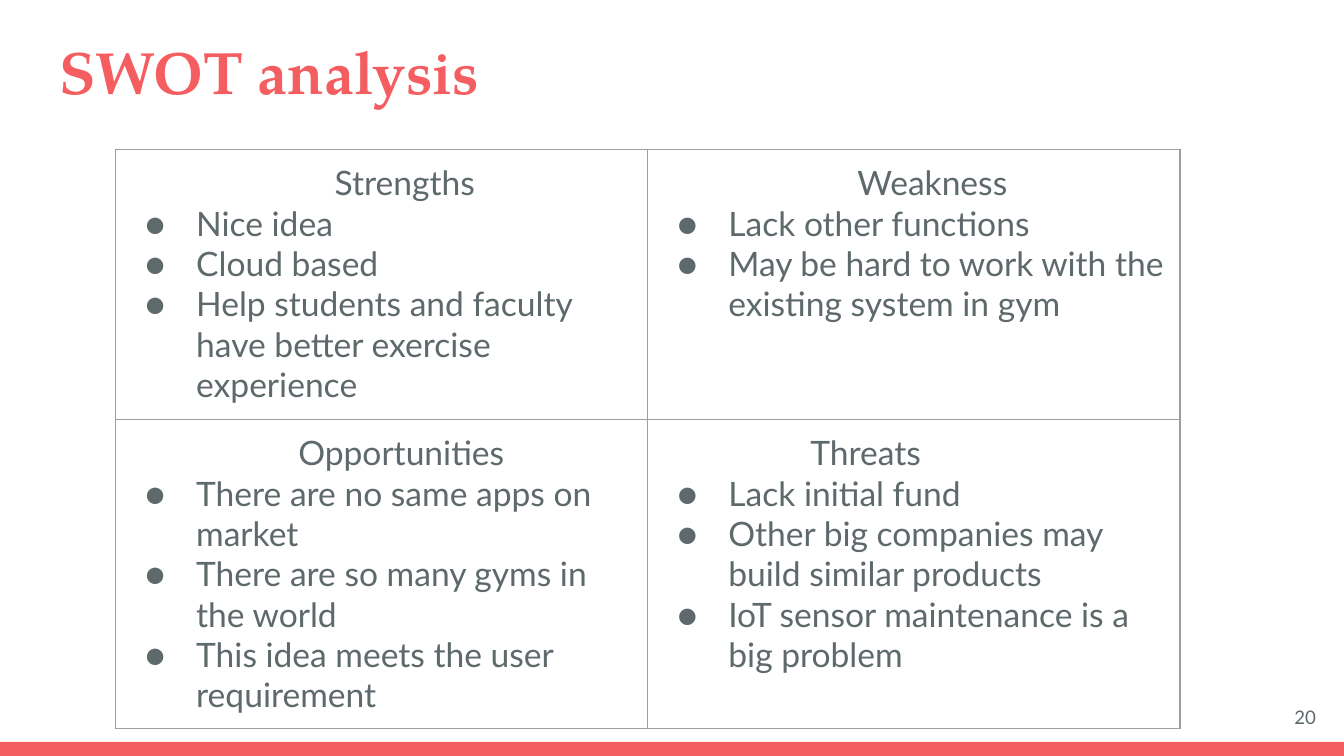
import dataclasses

import lxml.etree
import pptx
import pptx.dml.color
import pptx.enum.shapes
import pptx.enum.text
import pptx.oxml.ns
import pptx.util

Inches = pptx.util.Inches
Pt = pptx.util.Pt
RGBColor = pptx.dml.color.RGBColor
Alignment = pptx.enum.text.PP_ALIGN
Anchor = pptx.enum.text.MSO_ANCHOR
qn = pptx.oxml.ns.qn

CORAL = RGBColor(0xF5, 0x5E, 0x61)
SLATE = RGBColor(0x5E, 0x69, 0x6C)
GREY = RGBColor(0x9E, 0x9E, 0x9E)

TITLE_FONT = {"name": "TeX Gyre Pagella", "size": Pt(32), "bold": True}
BODY_FONT = {"name": "Lato", "size": Pt(18)}
NUMBER_FONT = {"name": "Lato", "size": Pt(10)}
MARGINS = {
    "margin_left": Inches(0.1),
    "margin_right": Inches(0.1),
    "margin_top": Inches(0.1),
    "margin_bottom": Inches(0.1),
}


@dataclasses.dataclass(frozen=True)
class Quadrant:
    row: int
    column: int
    heading: str
    heading_indent: float
    points: tuple[str, ...]


QUADRANTS = (
    Quadrant(0, 0, "Strengths", 1.53, (
        "Nice idea",
        "Cloud based",
        "Help students and faculty have better exercise experience",
    )),
    Quadrant(0, 1, "Weakness", 1.46, (
        "Lack other functions",
        "May be hard to work with the existing system in gym",
    )),
    Quadrant(1, 0, "Opportunities", 1.26, (
        "There are no same apps on market",
        "There are so many gyms in the world",
        "This idea meets the user requirement",
    )),
    Quadrant(1, 1, "Threats", 1.11, (
        "Lack initial fund",
        "Other big companies may build similar products",
        "IoT sensor maintenance is a big problem",
    )),
)


def apply_format(target: object, values: dict) -> None:
    for name, value in values.items():
        setattr(target, name, value)


def write_text(paragraph, text: str, font: dict, color: RGBColor) -> None:
    run = paragraph.add_run()
    run.text = text
    apply_format(run.font, font)
    run.font.color.rgb = color


def add_color(parent, color: RGBColor) -> None:
    lxml.etree.SubElement(parent, qn("a:srgbClr"), val=str(color))


def set_indent(paragraph, left: float, first_line: float = 0):
    properties = paragraph._p.get_or_add_pPr()
    properties.set("marL", str(Inches(left)))
    properties.set("indent", str(Inches(first_line)))
    return properties


def add_bullet(paragraph) -> None:
    properties = set_indent(paragraph, 0.5, -0.38)
    add_color(lxml.etree.SubElement(properties, qn("a:buClr")), SLATE)
    lxml.etree.SubElement(properties, qn("a:buFont"), typeface="Lato")
    lxml.etree.SubElement(properties, qn("a:buChar"), char="●")


def add_borders(cell) -> None:
    properties = cell._tc.get_or_add_tcPr()
    for side in ("a:lnL", "a:lnR", "a:lnT", "a:lnB"):
        line = lxml.etree.SubElement(properties, qn(side), w=str(Pt(0.75)))
        add_color(lxml.etree.SubElement(line, qn("a:solidFill")), GREY)


def fill_quadrant(table, quadrant: Quadrant) -> None:
    cell = table.cell(quadrant.row, quadrant.column)
    apply_format(cell, MARGINS)
    add_borders(cell)
    cell.fill.background()
    heading = cell.text_frame.paragraphs[0]
    set_indent(heading, quadrant.heading_indent)
    write_text(heading, quadrant.heading, BODY_FONT, SLATE)
    for point in quadrant.points:
        paragraph = cell.text_frame.add_paragraph()
        add_bullet(paragraph)
        write_text(paragraph, point, BODY_FONT, SLATE)


def main() -> None:
    # Widescreen slide, 16:9
    presentation = pptx.Presentation()
    presentation.slide_width = Inches(10)
    presentation.slide_height = Inches(10 * 9 / 16)
    slide = presentation.slides.add_slide(presentation.slide_layouts[5])

    # Title
    title = slide.shapes.title
    apply_format(title, {
        "left": Inches(0.34), "top": Inches(0.16),
        "width": Inches(9.32), "height": Inches(0.68),
    })
    apply_format(title.text_frame, {
        **MARGINS,
        "vertical_anchor": Anchor.TOP,
        "auto_size": pptx.enum.text.MSO_AUTO_SIZE.NONE,
        "word_wrap": True,
    })
    paragraph = title.text_frame.paragraphs[0]
    paragraph.alignment = Alignment.LEFT
    write_text(paragraph, "SWOT analysis", TITLE_FONT, CORAL)

    # Bottom bar
    bar = slide.shapes.add_shape(
        pptx.enum.shapes.MSO_SHAPE.RECTANGLE,
        Inches(0), Inches(5.52), Inches(10), Inches(0.11),
    )
    bar.shadow.inherit = False
    bar.fill.solid()
    bar.fill.fore_color.rgb = CORAL
    bar.line.fill.background()

    # Slide number
    number = slide.shapes.add_textbox(
        Inches(9.29), Inches(5.12), Inches(0.6), Inches(0.43)
    )
    apply_format(number.text_frame, {
        **MARGINS, "vertical_anchor": Anchor.MIDDLE, "word_wrap": True,
    })
    paragraph = number.text_frame.paragraphs[0]
    paragraph.alignment = Alignment.RIGHT
    write_text(paragraph, "20", NUMBER_FONT, SLATE)

    # SWOT table
    table = slide.shapes.add_table(
        2, 2, Inches(0.86), Inches(1.11), Inches(7.92), Inches(4.02)
    ).table
    apply_format(table, {"first_row": False, "horz_banding": False})
    for quadrant in QUADRANTS:
        fill_quadrant(table, quadrant)

    presentation.save("out.pptx")


if __name__ == "__main__":
    main()
